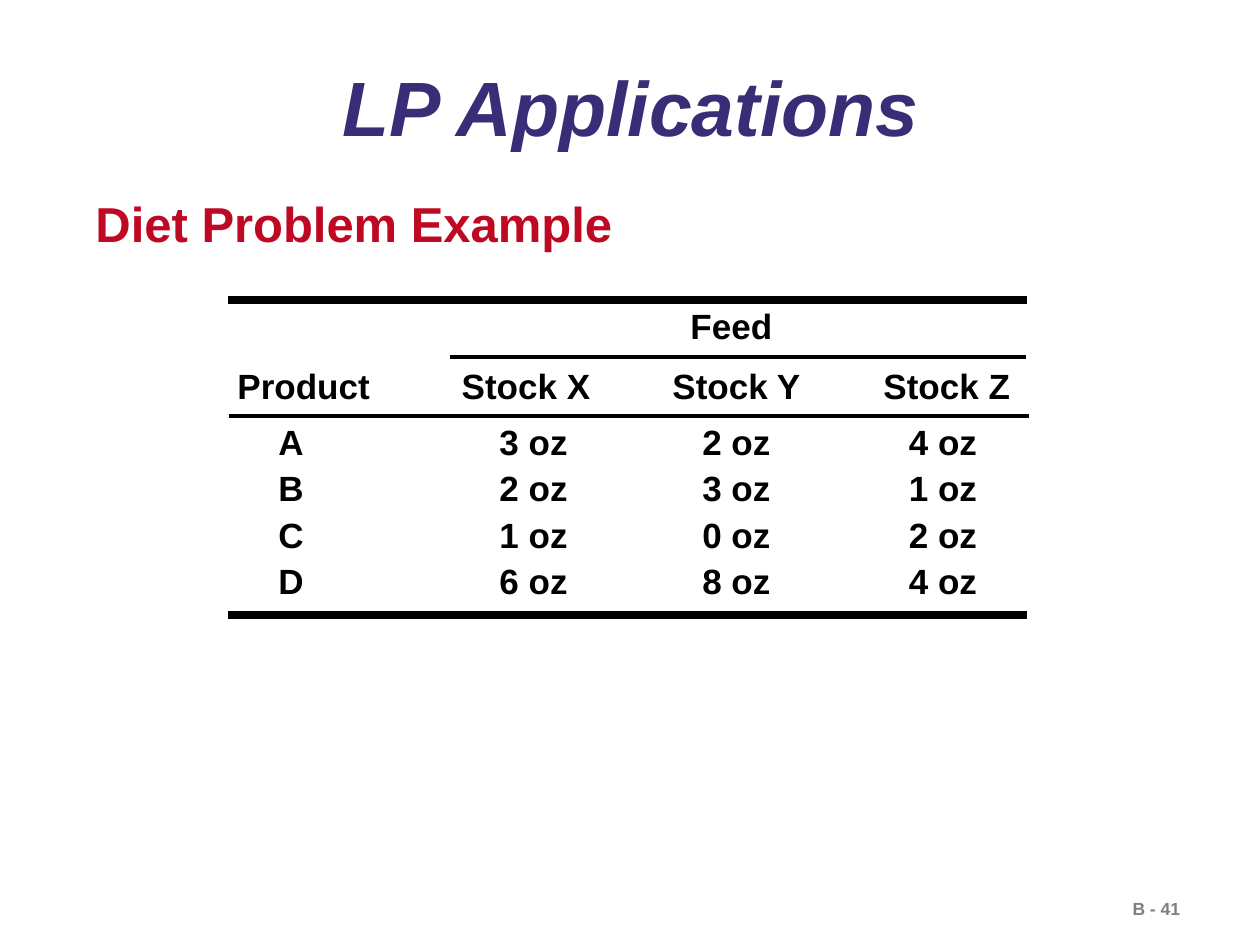
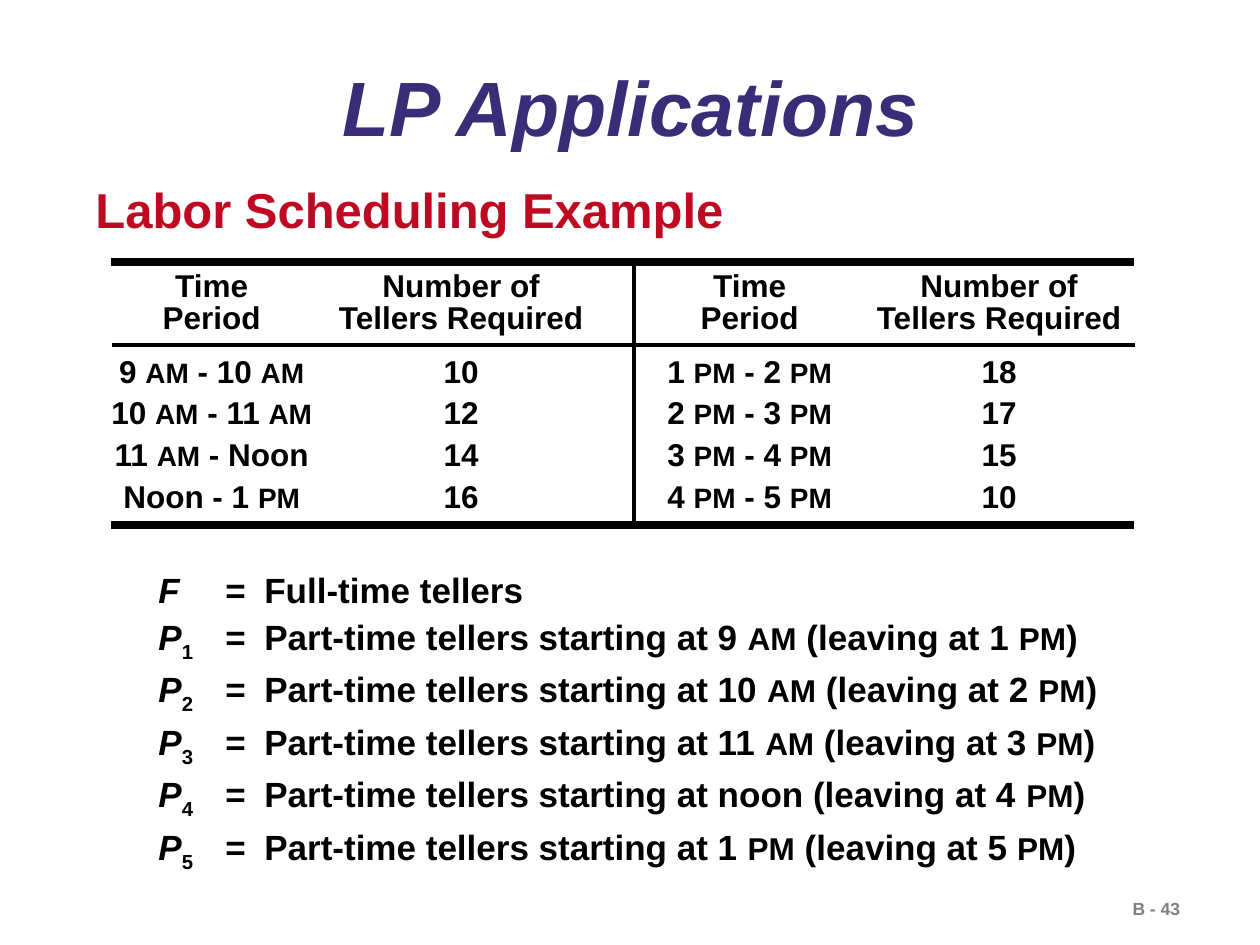
from typing import NamedTuple

from pptx import Presentation
from pptx.dml.color import RGBColor
from pptx.enum.shapes import MSO_CONNECTOR as Link
from pptx.enum.text import MSO_ANCHOR as Anchor, MSO_AUTO_SIZE as Fit, PP_ALIGN as Align
from pptx.oxml.ns import qn
from pptx.util import Inches, Pt
from lxml.etree import SubElement

WIDE, HIGH = Inches(10), Inches(7.5)
COLS = 100
UNIT = WIDE / COLS
FONT = "Arial"
BLACK, NAVY, RED, GRAY = "000000", "3A2C76", "BF0922", "7F7F7F"
THIN, THICK = 2.25, 4.5
BARE = "{2D5ABB26-0587-4C30-8999-92F81FD0307C}"


class Box(NamedTuple):
    left: float
    top: float
    width: float
    height: float


class Rule(NamedTuple):
    left: float
    top: float
    right: float
    bottom: float
    weight: float


class Row(NamedTuple):
    height: float
    cells: list[str]
    shift: tuple[float, ...] = (0, 0, 0, 0)


class Grid(NamedTuple):
    left: float
    top: float
    widths: list[float]
    rows: list[Row]
    size: float


def grid(count: float) -> int:
    return round(count * UNIT)


def paint(code: str) -> RGBColor:
    return RGBColor.from_string(code)


def place(shape, box: Box) -> None:
    shape.left, shape.top, shape.width, shape.height = map(grid, box)


def write(frame, text: str, *, size: float = 20, color: str = BLACK, slant: bool = False,
          align=Align.LEFT, space: float = 1.0, tabs: tuple[float, ...] = ()) -> None:
    frame.word_wrap = True
    for index, line in enumerate(text.split("\n")):
        para = frame.paragraphs[0] if index == 0 else frame.add_paragraph()
        para.alignment, para.line_spacing = align, space
        if tabs:
            stops = SubElement(para._p.get_or_add_pPr(), qn("a:tabLst"))
            for tab in tabs:
                SubElement(stops, qn("a:tab"), pos=str(grid(tab)), algn="l")
        for place_no, piece in enumerate(line.split("|")):
            if not piece:
                continue
            run = para.add_run()
            run.text = piece
            font = run.font
            marked = place_no % 2 == 1
            small = marked and piece in ("AM", "PM")
            sub = marked and piece.isdigit()
            font.name, font.bold = FONT, True
            font.size = Pt(size - 2 if small else size)
            font.italic = slant or (marked and not small and not sub)
            font.color.rgb = paint(color)
            if sub:
                run._r.get_or_add_rPr().set("baseline", "-25000")


def label(slide, box: Box, text: str, **style) -> None:
    shape = slide.shapes.add_textbox(*map(grid, box))
    write(shape.text_frame, text, **style)


def draw(slide, rule: Rule) -> None:
    line = slide.shapes.add_connector(Link.STRAIGHT, *map(grid, rule[:4]))
    line.line.width = Pt(rule.weight)
    line.line.color.rgb = paint(BLACK)
    SubElement(line._element.spPr, qn("a:effectLst"))


def fill(slide, plan: Grid):
    box = Box(plan.left, plan.top, sum(plan.widths), sum(row.height for row in plan.rows))
    table = slide.shapes.add_table(len(plan.rows), len(plan.widths), *map(grid, box)).table
    table.first_row = table.horz_banding = False
    table._tbl.tblPr.find(qn("a:tableStyleId")).text = BARE
    for col, width in zip(table.columns, plan.widths):
        col.width = grid(width)
    for line, row in zip(table.rows, plan.rows):
        line.height = grid(row.height)
        for cell, text, shift in zip(line.cells, row.cells, row.shift):
            cell.fill.background()
            cell.vertical_anchor = Anchor.MIDDLE
            cell.margin_top = cell.margin_bottom = 0
            cell.margin_left = grid(max(0, 2 * shift))
            cell.margin_right = grid(max(0, -2 * shift))
            write(cell.text_frame, text, size=plan.size, align=Align.CENTER,
                  space=0.9 if "\n" in text else 1.0)
    return table


def start(deck, head: str, top: float, page: str):
    slide = deck.slides.add_slide(deck.slide_layouts[5])
    title = slide.shapes.title
    place(title, Box(6.8, 3.5, 86.6, 10.7))
    title.text_frame.auto_size = Fit.NONE
    title.text_frame.vertical_anchor = Anchor.MIDDLE
    write(title.text_frame, "LP Applications", size=44, color=NAVY, slant=True,
          align=Align.CENTER, space=0.9)
    label(slide, Box(6.6, top, 60, 5.2), head, size=28, color=RED, space=0.9)
    label(slide, Box(88.9, 70.8, 10.9, 2.7), page, size=10, color=GRAY)
    return slide


def diet(deck) -> None:
    slide = start(deck, "Diet Problem Example", 15.4, "B - 41")
    doses = {"A": (3, 2, 4), "B": (2, 3, 1), "C": (1, 0, 2), "D": (6, 8, 4)}
    rows = [Row(4.5, ["", "Feed", "", ""], (0, -0.4, 0, 0)),
            Row(5.1, ["Product", "Stock X", "Stock Y", "Stock Z"])]
    rows += [Row(3.7, [name, *(f"{dose} oz" for dose in amounts)], (-1, 0.6, 0, -0.3))
             for name, amounts in doses.items()]
    table = fill(slide, Grid(14.8, 23.7, [18.6] + [16.7] * 3, rows, 20))
    table.cell(0, 1).merge(table.cell(0, 3))
    for rule in (Rule(18.2, 33, 81.7, 33, THIN), Rule(35.7, 28.3, 81.4, 28.3, THIN),
                 Rule(18.1, 23.8, 81.5, 23.8, THICK), Rule(18.1, 48.8, 81.5, 48.8, THICK)):
        draw(slide, rule)


def labor(deck) -> None:
    slide = start(deck, "Labor Scheduling Example", 14.3, "B - 43")
    heads = ["Time\nPeriod", "Number of\nTellers Required"] * 2
    shifts = [["9 |AM| - 10 |AM|", "10", "1 |PM| - 2 |PM|", "18"],
              ["10 |AM| - 11 |AM|", "12", "2 |PM| - 3 |PM|", "17"],
              ["11 |AM| - Noon", "14", "3 |PM| - 4 |PM|", "15"],
              ["Noon - 1 |PM|", "16", "4 |PM| - 5 |PM|", "10"]]
    nudge = (0, -1.55, 0, 0)
    rows = [Row(7.5, heads, nudge)] + [Row(3.3, cells, nudge) for cells in shifts]
    fill(slide, Grid(7, 20.4, [19.6, 23.1, 19.6, 20], rows, 18))
    for rule in (Rule(8.9, 27.4, 90.1, 27.4, THIN), Rule(50.3, 20.8, 50.3, 41.4, THIN),
                 Rule(8.8, 20.8, 90, 20.8, THICK), Rule(8.8, 41.7, 90, 41.7, THICK)):
        draw(slide, rule)
    hours = [("9 |AM|", 1), ("10 |AM|", 2), ("11 |AM|", 3), ("noon", 4), ("1 |PM|", 5)]
    terms = ["|F|\t=\tFull-time tellers"]
    terms += [f"|P||{number}|\t=\tPart-time tellers starting at {begin} (leaving at {end} |PM|)"
              for number, (begin, end) in enumerate(hours, 1)]
    label(slide, Box(11.6, 44.3, 82, 25.5), "\n".join(terms), space=1.1, tabs=(5.3, 8.4))


def main() -> None:
    deck = Presentation()
    deck.slide_width, deck.slide_height = WIDE, HIGH
    diet(deck)
    labor(deck)
    deck.save("out.pptx")


if __name__ == "__main__":
    main()
